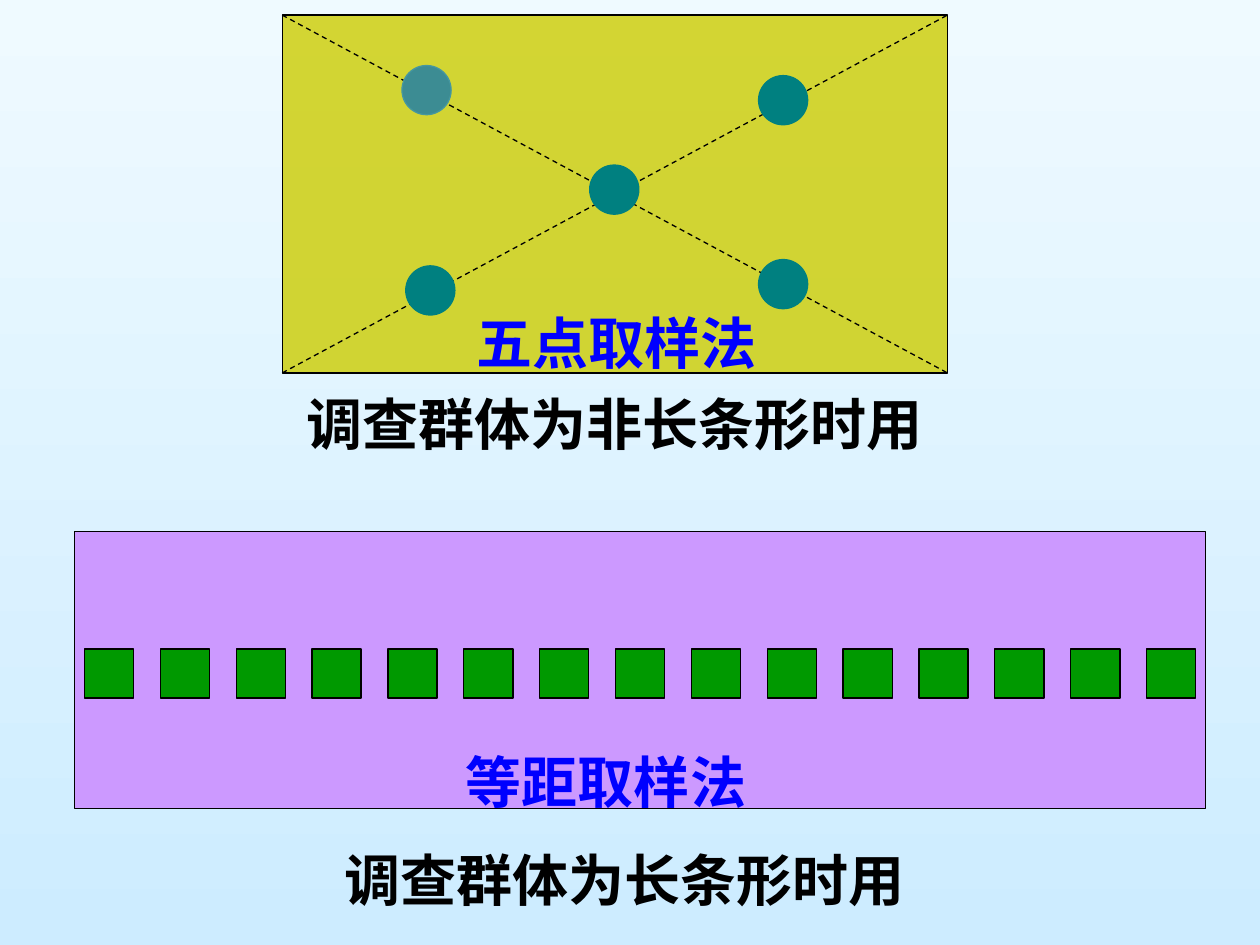
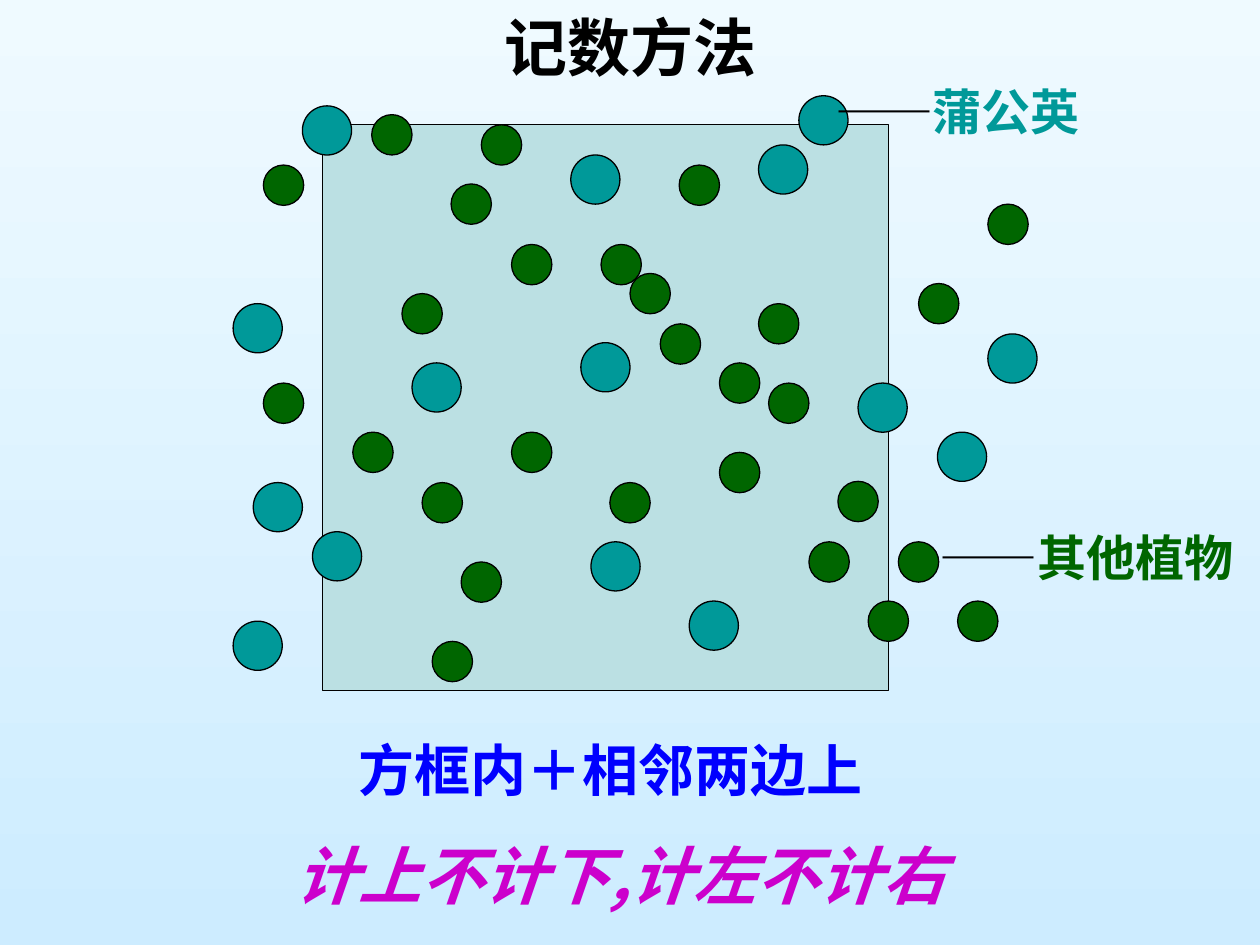
"""Builds two slides on quadrat sampling and on counting plants in a quadrat."""
from lxml.etree import SubElement
from pptx import Presentation
from pptx.dml.color import RGBColor
from pptx.enum.dml import MSO_LINE
from pptx.enum.shapes import MSO_CONNECTOR, MSO_SHAPE
from pptx.enum.text import MSO_ANCHOR, MSO_AUTO_SIZE, PP_ALIGN
from pptx.oxml.ns import qn
from pptx.util import Inches, Pt

BLACK = RGBColor(0x00, 0x00, 0x00)
BLUE = RGBColor(0x00, 0x00, 0xFF)
MAGENTA = RGBColor(0xCC, 0x00, 0xCC)
SKY_TOP = RGBColor(0xEF, 0xFA, 0xFF)
SKY_BOTTOM = RGBColor(0xCD, 0xEC, 0xFF)
FIELD_YELLOW = RGBColor(0xCC, 0xCC, 0x00)
POINT_TEAL = RGBColor(0x00, 0x80, 0x80)
FIRST_POINT = RGBColor(0x3C, 0x8C, 0x93)
FIRST_POINT_EDGE = RGBColor(0x45, 0x97, 0xA0)
STRIP_PURPLE = RGBColor(0xCC, 0x99, 0xFF)
PLOT_GREEN = RGBColor(0x00, 0x99, 0x00)
QUADRAT_BLUE = RGBColor(0xBB, 0xE0, 0xE3)
DANDELION_TEAL = RGBColor(0x00, 0x99, 0x99)
OTHER_GREEN = RGBColor(0x00, 0x66, 0x00)
FONT = "Arial"
ITALIC_FONT = "Noto Sans CJK SC"
MARK = 0.39
OTHER_MARK = 0.32


def add_mark(shapes, preset, left, top, width, height, fill, edge=BLACK):
    mark = shapes.add_shape(preset, Inches(left), Inches(top), Inches(width), Inches(height))
    mark.shadow.inherit = False
    mark.fill.solid()
    mark.fill.fore_color.rgb = fill
    mark.line.color.rgb = edge
    mark.line.width = Pt(0.75)
    return mark


def add_caption(shapes, left, top, width, height, text, color, size=32, align=PP_ALIGN.CENTER):
    caption = shapes.add_textbox(Inches(left), Inches(top), Inches(width), Inches(height))
    frame = caption.text_frame
    frame.word_wrap = True
    frame.auto_size = MSO_AUTO_SIZE.SHAPE_TO_FIT_TEXT
    paragraph = frame.paragraphs[0]
    paragraph.text = text
    paragraph.alignment = align
    font = paragraph.runs[0].font
    font.name, font.size, font.bold = FONT, Pt(size), True
    font.color.rgb = color
    return caption


prs = Presentation()
prs.slide_width, prs.slide_height = Inches(10), Inches(7.5)
sky = prs.slide_master.background.fill
sky.gradient()
sky.gradient_angle = 270
for stop, color in zip(sky.gradient_stops, (SKY_TOP, SKY_BOTTOM)):
    stop.color.rgb = color

sampling = prs.slides.add_slide(prs.slide_layouts[6])

five_point = sampling.shapes.add_group_shape().shapes
left, top, right, bottom = 2.24, 0.12, 7.52, 2.96
field = add_mark(five_point, MSO_SHAPE.RECTANGLE, left, top, right - left, bottom - top, FIELD_YELLOW)
field_color = field.fill._xPr.find(qn("a:solidFill"))[0]
SubElement(field_color, qn("a:alpha"), val="80000")
for start, end in ((top, bottom), (bottom, top)):
    diagonal = five_point.add_connector(
        MSO_CONNECTOR.STRAIGHT, Inches(left), Inches(start), Inches(right), Inches(end))
    diagonal.line.color.rgb = BLACK
    diagonal.line.width = Pt(0.75)
    diagonal.line.dash_style = MSO_LINE.DASH
    SubElement(diagonal._element.spPr, qn("a:effectLst"))
add_mark(five_point, MSO_SHAPE.OVAL, 3.19, 0.52, MARK, MARK, FIRST_POINT, FIRST_POINT_EDGE)
for x, y in ((4.68, 1.31), (3.22, 2.11), (6.02, 2.06), (6.02, 0.6)):
    add_mark(five_point, MSO_SHAPE.OVAL, x, y, MARK, MARK, POINT_TEAL, POINT_TEAL)
add_caption(five_point, 3.68, 2.4, 2.6, 0.64, "五点取样法", BLUE, align=PP_ALIGN.LEFT)

equal_distance = sampling.shapes.add_group_shape().shapes
add_mark(equal_distance, MSO_SHAPE.RECTANGLE, 0.59, 4.22, 8.98, 2.2, STRIP_PURPLE)
plot_count, first_plot, last_plot = 15, 0.67, 9.1
plot_pitch = (last_plot - first_plot) / (plot_count - 1)
for i in range(plot_count):
    add_mark(equal_distance, MSO_SHAPE.RECTANGLE, first_plot + i * plot_pitch, 5.15,
             MARK, MARK, PLOT_GREEN)
add_caption(equal_distance, 3.6, 5.88, 2.73, 0.64, "等距取样法", BLUE, align=PP_ALIGN.LEFT)

add_caption(sampling.shapes, 1.06, 3.04, 7.64, 0.64, "调查群体为非长条形时用", BLACK)
add_caption(sampling.shapes, 1.14, 6.66, 7.64, 0.64, "调查群体为长条形时用", BLACK)

counting = prs.slides.add_slide(prs.slide_layouts[5])
title = counting.shapes.title
title.left, title.top, title.width, title.height = Inches(0), Inches(0.05), Inches(10), Inches(0.63)
title.text_frame.text = "记数方法"
title.text_frame.vertical_anchor = MSO_ANCHOR.MIDDLE
heading = title.text_frame.paragraphs[0]
heading.alignment = PP_ALIGN.CENTER
heading_font = heading.runs[0].font
heading_font.name, heading_font.size, heading_font.bold = FONT, Pt(36), True
heading_font.color.rgb = BLACK

dandelions = (
    (6.34, 0.76), (5.47, 4.77), (2.48, 4.22), (3.27, 2.88), (4.53, 1.23),
    (6.02, 1.15), (4.61, 2.72), (2.4, 0.84), (4.69, 4.3), (2.01, 3.83),
    (1.85, 2.41), (1.85, 4.93), (6.81, 3.04), (7.84, 2.65), (7.44, 3.43),
)
other_plants = (
    (2.95, 0.91), (3.58, 1.46), (3.82, 0.99), (4.06, 1.94), (4.06, 3.43),
    (3.19, 2.33), (4.77, 1.94), (6.02, 2.41), (5.24, 2.57), (6.1, 3.04),
    (5.71, 3.59), (3.66, 4.46), (3.35, 3.83), (6.42, 4.3), (3.43, 5.09),
    (6.89, 4.77), (5, 2.17), (5.39, 1.31), (2.8, 3.43), (5.71, 2.88),
    (2.09, 3.04), (2.09, 1.31), (7.84, 1.62), (6.65, 3.82), (4.84, 3.83),
    (7.13, 4.3), (7.29, 2.25), (7.6, 4.77),
)
quadrat = counting.shapes.add_group_shape().shapes
add_mark(quadrat, MSO_SHAPE.RECTANGLE, 2.56, 0.99, 4.49, 4.49, QUADRAT_BLUE)
for plants, size, color in ((dandelions, MARK, DANDELION_TEAL),
                            (other_plants, OTHER_MARK, OTHER_GREEN)):
    for x, y in plants:
        add_mark(quadrat, MSO_SHAPE.OVAL, x, y, size, size, color)

for x, y, width, plant, color in ((6.53, 0.6, 3.47, "蒲公英", DANDELION_TEAL),
                                  (7.36, 4.14, 2.64, "其他植物", OTHER_GREEN)):
    label = add_caption(counting.shapes, x, y, width, 0.57, "——", BLACK, 28, PP_ALIGN.LEFT)
    label_line = label.text_frame.paragraphs[0]
    label_line.runs[0].font.bold = False
    plant_run = label_line.add_run()
    plant_run.text = plant
    plant_run.font.name, plant_run.font.size, plant_run.font.bold = FONT, Pt(28), True
    plant_run.font.color.rgb = color

add_caption(counting.shapes, 2.48, 5.79, 4.73, 0.64, "方框内＋相邻两边上", BLUE)
rule = add_caption(counting.shapes, 2.01, 6.59, 5.83, 0.7, "计上不计下,计左不计右", MAGENTA, 36)
rule_font = rule.text_frame.paragraphs[0].runs[0].font
rule_font.name, rule_font.italic = ITALIC_FONT, True

prs.save("out.pptx")
